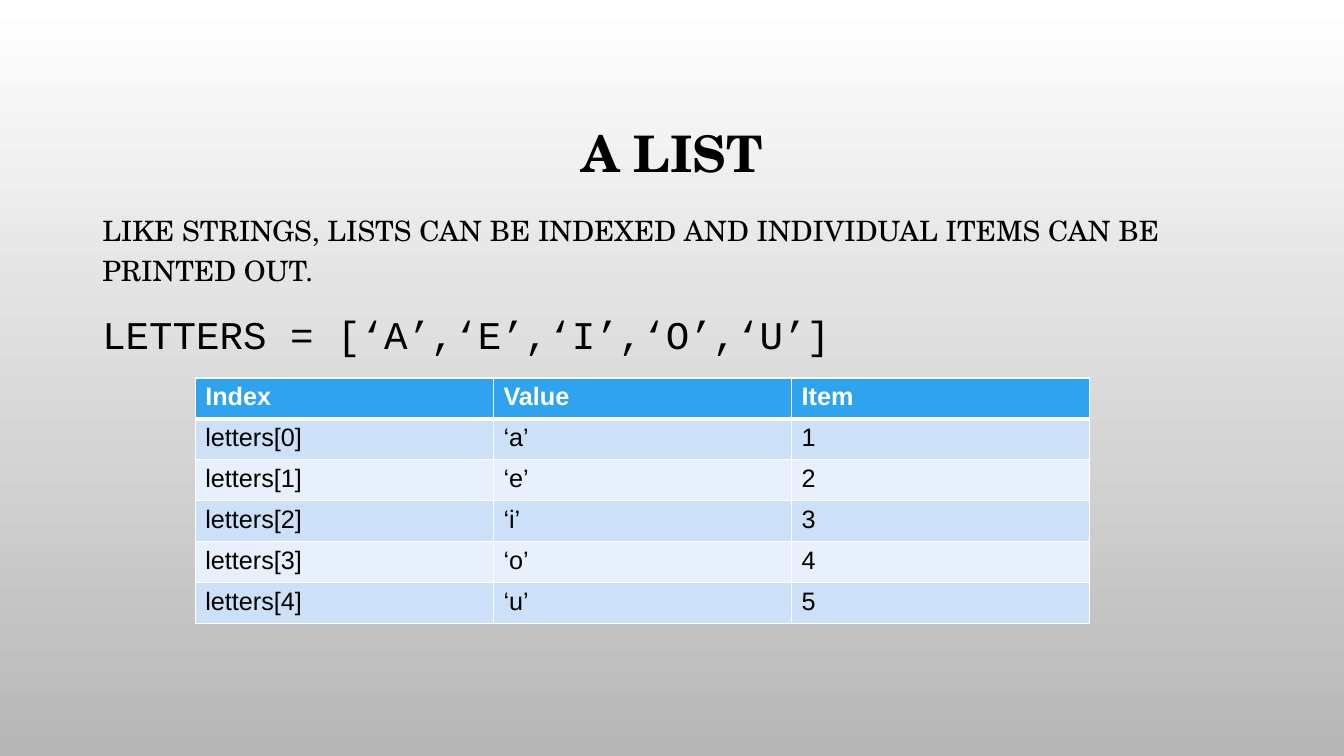
from dataclasses import dataclass

import lxml.etree
import pptx
import pptx.dml.color
import pptx.enum.text
import pptx.oxml.ns
import pptx.util

EMU_PER_PX = 9525
COLOURS = {
    "text": "000000",
    "white": "FFFFFF",
    "background_end": "B7B7B7",
    "header": "2FA3EE",
    "band_dark": "CCE0F8",
    "band_light": "E7F0FC",
}


@dataclass(frozen=True)
class Line:
    text: str
    font: str
    size: int
    bold: bool = False
    colour: str = "text"
    space_before: int = 0


@dataclass(frozen=True)
class TextBlock:
    left: int
    top: int
    width: int
    height: int
    lines: tuple[Line, ...]
    spacing: float
    align: pptx.enum.text.PP_ALIGN
    anchor: pptx.enum.text.MSO_ANCHOR


TITLE = TextBlock(
    96, 65, 1088, 168,
    (Line("A LIST", "TeX Gyre Schola", 36, bold=True),),
    0.9, pptx.enum.text.PP_ALIGN.CENTER, pptx.enum.text.MSO_ANCHOR.MIDDLE,
)
EXPLANATION = TextBlock(
    88, 192, 1104, 418,
    (
        Line("LIKE STRINGS, LISTS CAN BE INDEXED AND INDIVIDUAL ITEMS CAN BE PRINTED OUT.",
             "TeX Gyre Schola", 20),
        Line("LETTERS = [‘A’,‘E’,‘I’,‘O’,‘U’]", "Courier New", 28, space_before=10),
    ),
    1.2, pptx.enum.text.PP_ALIGN.LEFT, pptx.enum.text.MSO_ANCHOR.TOP,
)

HEADINGS = ("Index", "Value", "Item")
LETTERS = "aeiou"
TABLE_LEFT, TABLE_TOP = 186, 360
COLUMN_WIDTH, ROW_HEIGHT = 284, 39


def px(length: int) -> pptx.util.Emu:
    return pptx.util.Emu(length * EMU_PER_PX)


def rgb(name: str) -> pptx.dml.color.RGBColor:
    return pptx.dml.color.RGBColor.from_string(COLOURS[name])


def write_line(paragraph, line: Line) -> None:
    run = paragraph.add_run()
    run.text = line.text
    run.font.name = line.font
    run.font.size = pptx.util.Pt(line.size)
    run.font.bold = line.bold
    run.font.color.rgb = rgb(line.colour)


def draw_text(slide, block: TextBlock) -> None:
    box = slide.shapes.add_textbox(
        px(block.left), px(block.top), px(block.width), px(block.height))
    frame = box.text_frame
    frame.word_wrap = True
    frame.vertical_anchor = block.anchor
    for number, line in enumerate(block.lines):
        paragraph = frame.add_paragraph() if number else frame.paragraphs[0]
        paragraph.alignment = block.align
        paragraph.line_spacing = block.spacing
        if line.space_before:
            paragraph.space_before = pptx.util.Pt(line.space_before)
        write_line(paragraph, line)


def draw_borders(cell, top: int, bottom: int) -> None:
    properties = cell._tc.get_or_add_tcPr()
    qn = pptx.oxml.ns.qn
    for side, width in (("L", 1), ("R", 1), ("T", top), ("B", bottom)):
        border = lxml.etree.SubElement(
            properties, qn(f"a:ln{side}"), w=str(pptx.util.Pt(width)))
        fill = lxml.etree.SubElement(border, qn("a:solidFill"))
        lxml.etree.SubElement(fill, qn("a:srgbClr"), val=COLOURS["white"])


def draw_index_table(slide) -> None:
    rows = [HEADINGS] + [
        (f"letters[{index}]", f"‘{letter}’", str(index + 1))
        for index, letter in enumerate(LETTERS)
    ]
    table = slide.shapes.add_table(
        len(rows), len(HEADINGS), px(TABLE_LEFT), px(TABLE_TOP),
        px(COLUMN_WIDTH * len(HEADINGS)), px(ROW_HEIGHT * len(rows))).table
    table.horz_banding = False
    for row_number, row in enumerate(rows):
        is_header = row_number == 0
        band = "band_dark" if row_number % 2 else "band_light"
        for column_number, text in enumerate(row):
            cell = table.cell(row_number, column_number)
            draw_borders(cell, top=3 if row_number == 1 else 1,
                         bottom=3 if is_header else 1)
            cell.fill.solid()
            cell.fill.fore_color.rgb = rgb("header" if is_header else band)
            write_line(cell.text_frame.paragraphs[0], Line(
                text, "Arial", 18, bold=is_header,
                colour="white" if is_header else "text"))


def main() -> None:
    presentation = pptx.Presentation()
    presentation.slide_width, presentation.slide_height = px(1280), px(720)
    slide = presentation.slides.add_slide(presentation.slide_layouts[6])

    # Background fading downwards from white to grey
    backdrop = slide.background.fill
    backdrop.gradient()
    backdrop.gradient_angle = 270
    for stop, colour in zip(backdrop.gradient_stops, ("white", "background_end")):
        stop.color.rgb = rgb(colour)

    # Title and explanation
    for block in (TITLE, EXPLANATION):
        draw_text(slide, block)

    # Index, value and item of each letter
    draw_index_table(slide)

    presentation.save("out.pptx")


if __name__ == "__main__":
    main()
